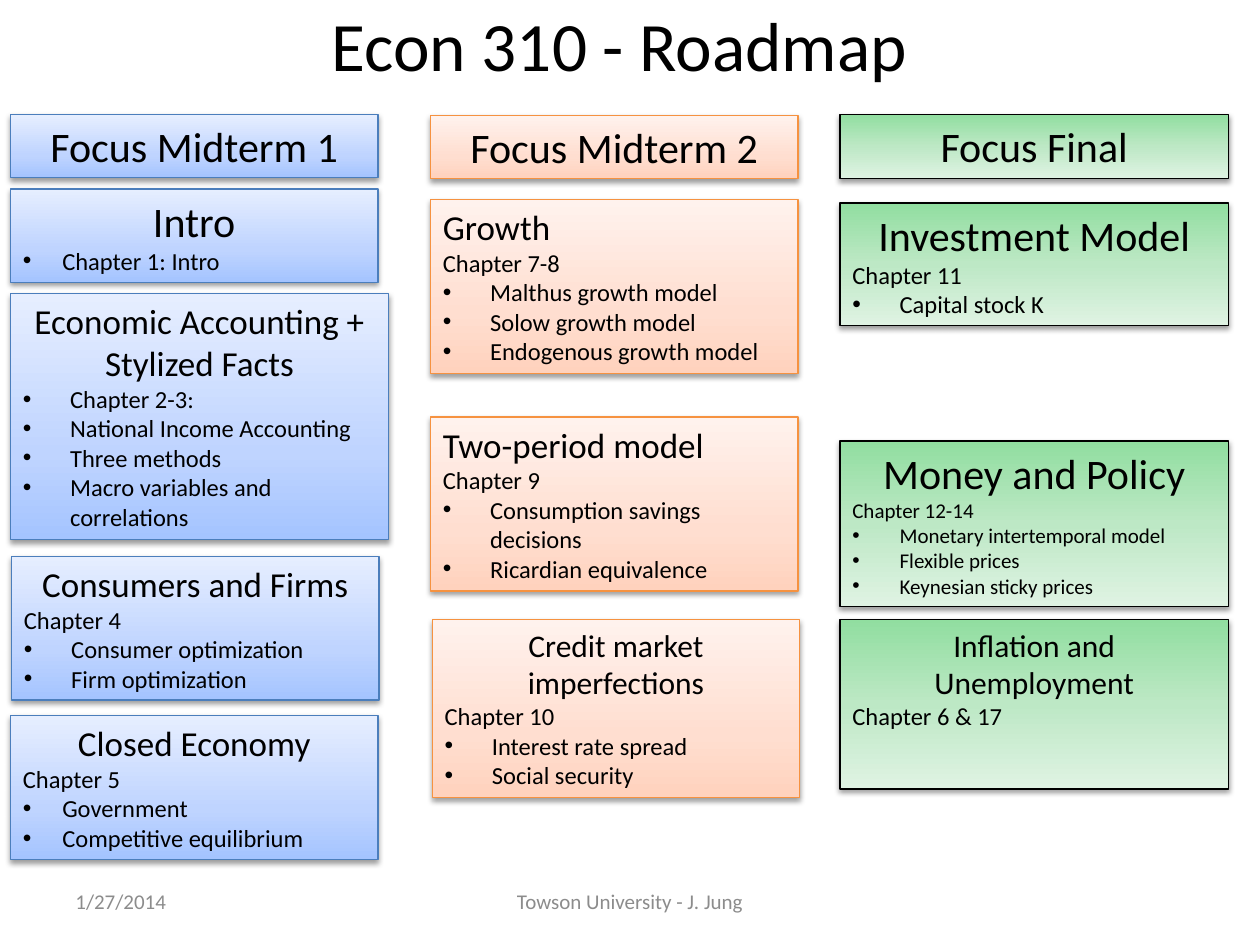
from pptx import Presentation
from pptx.util import Pt
from pptx.dml.color import RGBColor
from pptx.enum.shapes import MSO_SHAPE
from pptx.enum.text import PP_ALIGN, MSO_ANCHOR, MSO_AUTO_SIZE
from pptx.oxml.ns import qn
from lxml.etree import SubElement

FONT = "Calibri"
COLORS = {"text": "000000", "footer": "8C8C8C", "shadow": "000000"}
THEMES = {
    "blue": dict(line="4B7EBC", angle=90,
                 stops=[(0, "A4C4FF"), (35, "BFD4FF"), (100, "E6EEFF")]),
    "orange": dict(line="F69240", angle=90,
                   stops=[(0, "FFD2BD"), (35, "FFDED0"), (100, "FFF2ED")]),
    "green": dict(line="000000", angle=270,
                  stops=[(0, "91DEA0"), (50, "BDE8C5"), (100, "DFF3E3")]),
}
COLUMNS = [
    dict(theme="blue", left=6, width=210, boxes=[
        dict(top=65.5, height=36, heads=["Focus Midterm 1"], size=24),
        dict(top=108, height=53.3, heads=["Intro"], size=24, indent=22.5,
             bullets=["Chapter 1: Intro"]),
        dict(top=167.8, height=140.4, width=216,
             heads=["Economic Accounting +", "Stylized Facts"], size=20,
             bullets=["Chapter 2-3:", "National Income Accounting", "Three methods",
                      "Macro variables and correlations"]),
        dict(top=318, height=82, left=6.6, heads=["Consumers and Firms"], size=20,
             chapter="Chapter 4", bullets=["Consumer optimization", "Firm optimization"]),
        dict(top=409, height=82, heads=["Closed Economy"], size=20, indent=22.5,
             chapter="Chapter 5", bullets=["Government", "Competitive equilibrium"]),
    ]),
    dict(theme="orange", left=246, width=210, boxes=[
        dict(top=66, height=36, heads=["Focus Midterm 2"], size=24),
        dict(top=114, height=99.4, heads=["Growth"], size=20, align="left",
             chapter="Chapter 7-8",
             bullets=["Malthus growth model", "Solow growth model",
                      "Endogenous growth model"]),
        dict(top=238.3, height=99.4, heads=["Two-period model"], size=20, align="left",
             chapter="Chapter 9",
             bullets=["Consumption savings decisions", "Ricardian equivalence"]),
        dict(top=354, height=101.7, left=247, heads=["Credit market imperfections"],
             size=18, chapter="Chapter 10",
             bullets=["Interest rate spread", "Social security"]),
    ]),
    dict(theme="green", left=480, width=222, boxes=[
        dict(top=65.5, height=36.5, heads=["Focus Final"], size=24),
        dict(top=116, height=70, heads=["Investment Model"], size=24,
             chapter="Chapter 11", bullets=["Capital stock K"]),
        dict(top=252, height=94.5, heads=["Money and Policy"], size=24, body=12,
             chapter="Chapter 12-14",
             bullets=["Monetary intertemporal model", "Flexible prices",
                      "Keynesian sticky prices"]),
        dict(top=354, height=97, heads=["Inflation and Unemployment"], size=18,
             chapter="Chapter 6 & 17"),
    ]),
]
FOOTERS = [("1/27/2014", 36, 168, "left"),
           ("Towson University - J. Jung", 246, 228, "center")]
ALIGN = {"left": PP_ALIGN.LEFT, "center": PP_ALIGN.CENTER}


def write(tf, text, size, color="text", align="left", indent=0):
    p = tf.paragraphs[0] if not tf.text else tf.add_paragraph()
    p.alignment = ALIGN[align]
    r = p.add_run()
    r.text = text
    r.font.name, r.font.size = FONT, Pt(size)
    r.font.color.rgb = RGBColor.from_string(COLORS[color])
    if indent:
        pPr = p._p.get_or_add_pPr()
        pPr.set("marL", str(Pt(indent)))
        pPr.set("indent", str(-Pt(indent)))
        SubElement(pPr, qn("a:buFont"), typeface="Arial")
        SubElement(pPr, qn("a:buChar"), char="•")


def style(sp, line, angle, stops):
    sp.line.color.rgb = RGBColor.from_string(line)
    sp.line.width = Pt(0.75)
    sp.fill.gradient()
    sp.fill.gradient_angle = angle
    spPr = sp._element.spPr
    gsLst = spPr.find(qn("a:gradFill")).find(qn("a:gsLst"))
    for gs in list(gsLst):
        gsLst.remove(gs)
    for pos, color in stops:
        gs = SubElement(gsLst, qn("a:gs"), pos=str(pos * 1000))
        SubElement(gs, qn("a:srgbClr"), val=color)
    sp.shadow.inherit = False
    shadow = SubElement(spPr.find(qn("a:effectLst")), qn("a:outerShdw"),
                        blurRad=str(Pt(3.1)), dist=str(Pt(1.6)), dir="5400000",
                        rotWithShape="0")
    clr = SubElement(shadow, qn("a:srgbClr"), val=COLORS["shadow"])
    SubElement(clr, qn("a:alpha"), val="38000")


def add_box(s, theme, left, width, top, height, heads, size, align="center",
            chapter=None, bullets=(), body=14, indent=27):
    sp = s.shapes.add_shape(MSO_SHAPE.RECTANGLE, Pt(left), Pt(top), Pt(width), Pt(height))
    style(sp, **THEMES[theme])
    tf = sp.text_frame
    tf.word_wrap = True
    tf.auto_size = MSO_AUTO_SIZE.NONE
    tf.vertical_anchor = MSO_ANCHOR.TOP
    for head in heads:
        write(tf, head, size, align=align)
    if chapter:
        write(tf, chapter, body)
    for bullet in bullets:
        write(tf, bullet, body, indent=indent)


prs = Presentation()
prs.slide_width, prs.slide_height = Pt(720), Pt(540)
s = prs.slides.add_slide(prs.slide_layouts[5])

title = s.shapes.title
title.left, title.top, title.width, title.height = Pt(30), Pt(6), Pt(648), Pt(38)
title.text_frame.auto_size = MSO_AUTO_SIZE.NONE
title.text_frame.vertical_anchor = MSO_ANCHOR.MIDDLE
write(title.text_frame, "Econ 310 - Roadmap", 39.6, align="center")

for text, left, width, align in FOOTERS:
    tf = s.shapes.add_textbox(Pt(left), Pt(500.5), Pt(width), Pt(28.75)).text_frame
    tf.word_wrap = True
    tf.vertical_anchor = MSO_ANCHOR.MIDDLE
    write(tf, text, 12, color="footer", align=align)

for column in COLUMNS:
    shared = {key: column[key] for key in ("theme", "left", "width")}
    for box in column["boxes"]:
        add_box(s, **{**shared, **box})

prs.save("out.pptx")
